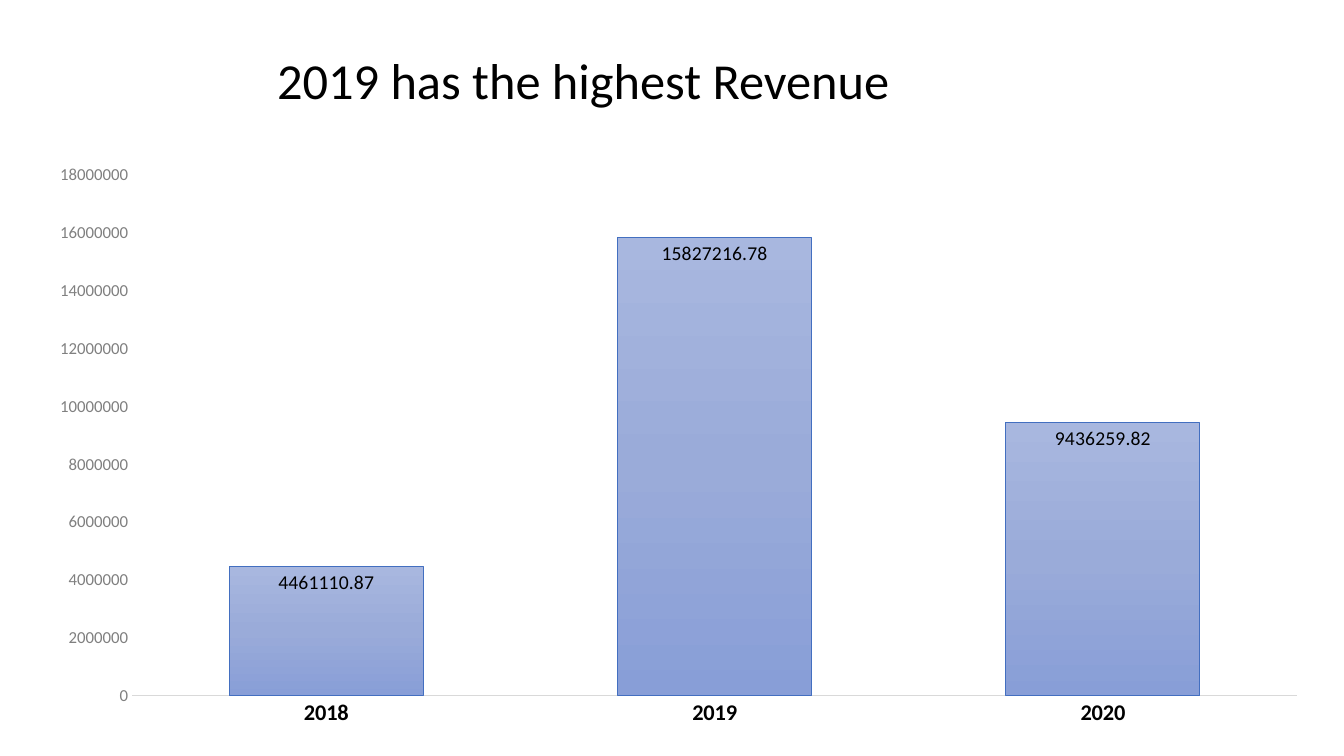
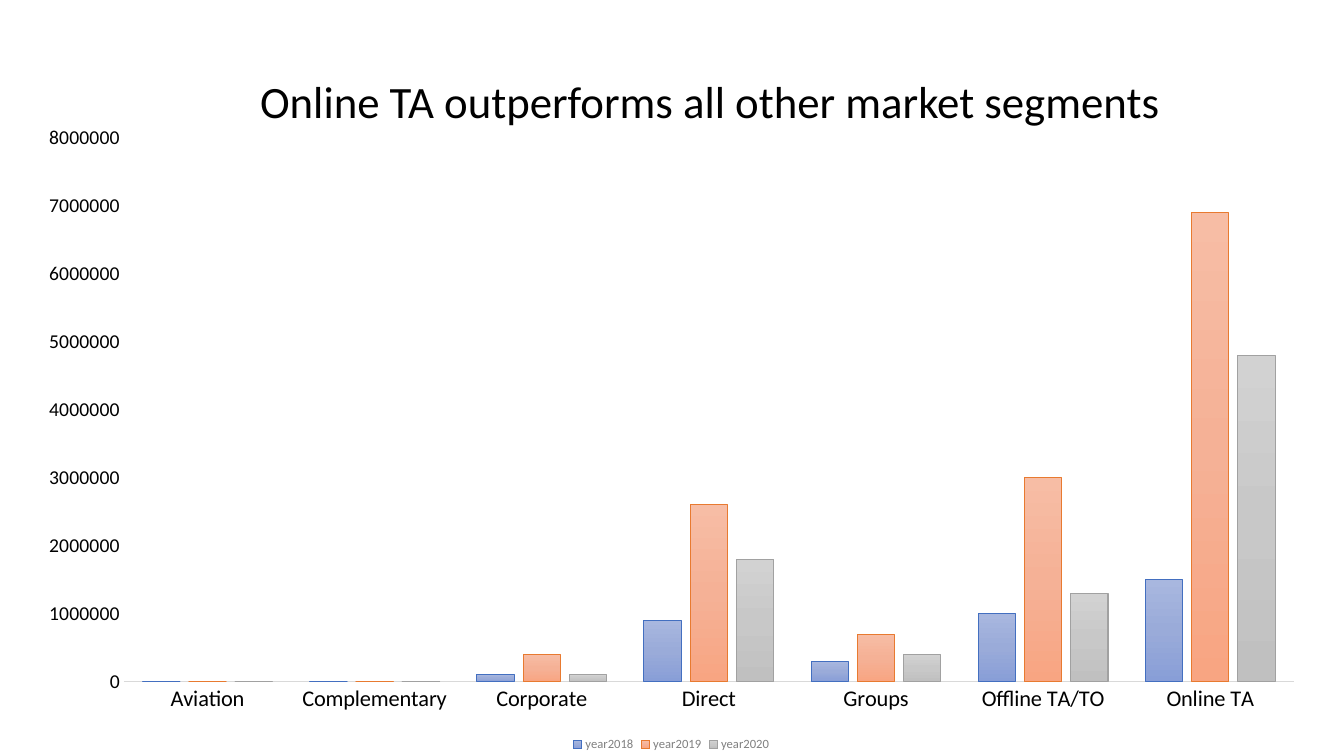
from dataclasses import dataclass

from pptx import Presentation
from pptx.chart.data import CategoryChartData
from pptx.dml.color import RGBColor
from pptx.enum.chart import XL_CHART_TYPE as ChartType
from pptx.enum.chart import XL_LABEL_POSITION as LabelPosition
from pptx.enum.chart import XL_LEGEND_POSITION as LegendPosition
from pptx.enum.chart import XL_TICK_MARK as TickMark
from pptx.enum.text import MSO_AUTO_SIZE as AutoSize
from pptx.enum.text import PP_ALIGN as Align
from pptx.oxml import parse_xml
from pptx.oxml.ns import nsdecls
from pptx.util import Inches, Pt


@dataclass(frozen=True)
class Theme:
    """Colours, font and type sizes shared by the slides."""

    font: str = "Calibri"
    text: str = "000000"
    muted: str = "808080"
    axis_line: str = "D9D9D9"
    gradients: tuple = (
        ("A8B7DF", "9AABD9", "889ED7"),
        ("F7BDA5", "F5B196", "F8A582"),
        ("D2D2D2", "C8C8C8", "C0C0C0"),
    )
    outlines: tuple = ("436FC0", "E87A30", "A1A1A1")
    line_width: float = 0.75
    legend_size: int = 9
    chart_size: int = 10
    small_size: int = 12
    label_size: int = 14
    category_size: int = 16
    title_size: int = 32
    large_title_size: int = 36


THEME = Theme()


def style_font(font, size, color=THEME.text, bold=False):
    """Apply the theme font with a size, colour and weight."""
    font.name = THEME.font
    font.size = Pt(size)
    font.bold = bold
    font.color.rgb = RGBColor.from_string(color)


def style_line(line, color):
    """Give a line a colour and the theme width."""
    line.color.rgb = RGBColor.from_string(color)
    line.width = Pt(THEME.line_width)


def add_title(slide, text, box, size, align=Align.LEFT):
    """Add a one-line title text box."""
    shape = slide.shapes.add_textbox(*map(Inches, box))
    text_frame = shape.text_frame
    text_frame.word_wrap = True
    text_frame.auto_size = AutoSize.SHAPE_TO_FIT_TEXT
    text_frame.text = text
    paragraph = text_frame.paragraphs[0]
    paragraph.alignment = align
    style_font(paragraph.runs[0].font, size)


def fill_series(series, colors, outline):
    """Fill columns with an even top-down gradient and outline them."""
    step = 100000 // (len(colors) - 1)
    stops = "".join(
        f'<a:gs pos="{index * step}"><a:srgbClr val="{color}"/></a:gs>'
        for index, color in enumerate(colors)
    )
    gradient = parse_xml(
        f'<a:gradFill {nsdecls("a")} rotWithShape="1"><a:gsLst>{stops}</a:gsLst>'
        '<a:lin ang="5400000" scaled="0"/></a:gradFill>'
    )
    series.format.fill.background()
    properties = series._element.get_or_add_spPr()
    properties.replace(properties[0], gradient)
    style_line(series.format.line, outline)


def style_axes(chart, maximum, step, value_size, value_color, bold):
    """Scale the value axis and strip both axes of ticks and grid."""
    category_axis, value_axis = chart.category_axis, chart.value_axis
    for axis in (category_axis, value_axis):
        axis.has_major_gridlines = False
        axis.major_tick_mark = axis.minor_tick_mark = TickMark.NONE
    style_font(category_axis.tick_labels.font, THEME.category_size, bold=bold)
    style_line(category_axis.format.line, THEME.axis_line)
    value_axis.minimum_scale = 0
    value_axis.maximum_scale = maximum
    value_axis.major_unit = step
    value_axis.format.line.fill.background()
    style_font(value_axis.tick_labels.font, value_size, value_color)


def add_column_chart(slide, box, categories, values_by_name):
    """Add a clustered column chart in the theme colours."""
    data = CategoryChartData()
    data.categories = categories
    for name, values in values_by_name.items():
        data.add_series(name, values)
    frame = slide.shapes.add_chart(
        ChartType.COLUMN_CLUSTERED, *map(Inches, box), data
    )
    chart = frame.chart
    chart.has_title = False
    chart.has_legend = False
    style_font(chart.font, THEME.chart_size)
    plot = chart.plots[0]
    plot.vary_by_categories = False
    plot.gap_width = 100
    plot.overlap = -24
    for series, colors, outline in zip(plot.series, THEME.gradients, THEME.outlines):
        fill_series(series, colors, outline)
    return chart


def add_value_labels(chart):
    """Show each value inside the end of its column."""
    for series in chart.plots[0].series:
        labels = series.data_labels
        labels.show_value = True
        labels.position = LabelPosition.INSIDE_END
        style_font(labels.font, THEME.label_size)


def add_bottom_legend(chart):
    """Place a small muted legend below the plot."""
    chart.has_legend = True
    chart.legend.position = LegendPosition.BOTTOM
    chart.legend.include_in_layout = False
    style_font(chart.legend.font, THEME.legend_size, THEME.muted)


def build_revenue_slide(slide):
    """Build the yearly revenue slide."""
    revenue = {"2018": 4461110.87, "2019": 15827216.78, "2020": 9436259.82}
    chart = add_column_chart(
        slide, (0.34, 1.52, 12.78, 5.81), list(revenue), {"Series 1": revenue.values()}
    )
    style_axes(chart, 18000000, 2000000, THEME.small_size, THEME.muted, True)
    add_value_labels(chart)
    add_title(
        slide, "2019 has the highest Revenue", (2.65, 0.44, 8.03, 0.71),
        THEME.large_title_size,
    )


def build_segment_slide(slide):
    """Build the slide that compares market segments by year."""
    segments = {
        "Aviation": (0, 0, 0),
        "Complementary": (0, 0, 0),
        "Corporate": (100000, 400000, 100000),
        "Direct": (900000, 2600000, 1800000),
        "Groups": (300000, 700000, 400000),
        "Offline TA/TO": (1000000, 3000000, 1300000),
        "Online TA": (1500000, 6900000, 4800000),
    }
    years = ("year2018", "year2019", "year2020")
    chart = add_column_chart(
        slide, (0.23, 1.12, 12.86, 6.38), list(segments),
        dict(zip(years, zip(*segments.values()))),
    )
    style_axes(chart, 8000000, 1000000, THEME.label_size, THEME.text, False)
    add_bottom_legend(chart)
    add_title(
        slide, "Online TA outperforms all other market segments",
        (1.46, 0.68, 11.17, 0.64), THEME.title_size, Align.CENTER,
    )


def main():
    """Build and save the presentation."""
    presentation = Presentation()
    presentation.slide_width = Inches(13.33)
    presentation.slide_height = Inches(7.5)
    blank = presentation.slide_layouts[6]
    for build in (build_revenue_slide, build_segment_slide):
        build(presentation.slides.add_slide(blank))
    presentation.save("out.pptx")


main()
